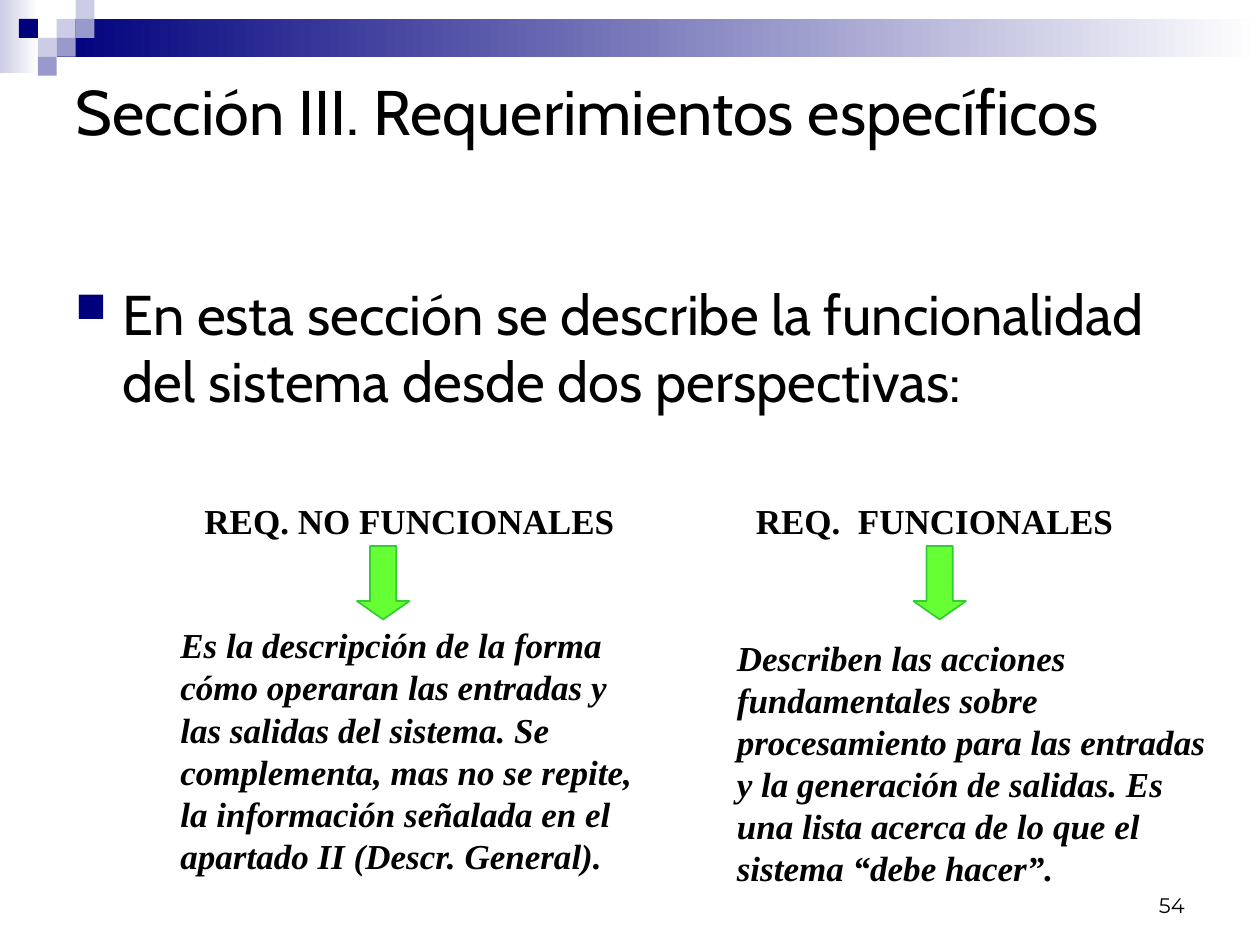
from lxml import etree
from pptx import Presentation
from pptx import util as u
from pptx.dml.color import RGBColor
from pptx.enum import shapes, text
from pptx.oxml.ns import qn

Pt = u.Pt
rgb = RGBColor.from_string
SERIF = "Times New Roman"

prs = Presentation()
prs.slide_width, prs.slide_height = Pt(720), Pt(540)
s = prs.slides.add_slide(prs.slide_layouts[6])


def add_shape(kind, x, y, w, h, fill, fade=False):
    """Add a shape without outline; fade runs the fill to white at the right."""
    sp = s.shapes.add_shape(kind, Pt(x), Pt(y), Pt(w), Pt(h))
    sp.shadow.inherit = False
    sp.line.fill.background()
    if fade:
        sp.fill.gradient()
        sp.fill.gradient_angle = 0
        for stop, color in zip(sp.fill.gradient_stops, (fill, "FFFFFF")):
            stop.color.rgb = rgb(color)
    else:
        sp.fill.solid()
        sp.fill.fore_color.rgb = rgb(fill)
    return sp


def add_text(x, y, w, h, words, size, font, align=text.PP_ALIGN.LEFT,
             bold=False, italic=False):
    tf = s.shapes.add_textbox(Pt(x), Pt(y), Pt(w), Pt(h)).text_frame
    tf.word_wrap = True
    p = tf.paragraphs[0]
    p.alignment = align
    r = p.add_run()
    r.text = words
    r.font.size, r.font.name = Pt(size), font
    r.font.bold, r.font.italic = bold, italic
    r.font.color.rgb = rgb("000000")
    return tf


# Header band and its mosaic of small squares
RECT = shapes.MSO_SHAPE.RECTANGLE
NAVY, MID, PALE = "00007D", "9999CC", "CCCCE6"
add_shape(RECT, 0, 0, 22, 42, PALE, fade=True)
add_shape(RECT, 32.4, 10.8, 687.6, 21.6, NAVY, fade=True)
side = 10.8
for col, row, color in [(3, 1, PALE), (4, 0, PALE), (4, 1, MID), (2, 2, PALE),
                        (1, 1, NAVY), (3, 2, MID), (2, 3, MID)]:
    add_shape(RECT, col * side, row * side, side, side, color)

# Title and main bullet
tf = add_text(36, 36, 648, 108, "Sección III. Requerimientos específicos", 36, "Cabin")
tf.margin_top = Pt(5.4)

tf = add_text(36, 156, 648, 306,
              "En esta sección se describe la funcionalidad del sistema "
              "desde dos perspectivas:", 32, "Cabin")
p = tf.paragraphs[0]
p.space_before = Pt(8)
pPr = p._p.get_or_add_pPr()
pPr.set("marL", str(Pt(27)))
pPr.set("indent", str(Pt(-27)))
buClr = etree.SubElement(pPr, qn("a:buClr"))
etree.SubElement(buClr, qn("a:srgbClr"), val=NAVY)
etree.SubElement(pPr, qn("a:buSzPct"), val="75000")
etree.SubElement(pPr, qn("a:buChar"), char="■")

# Two perspectives: heading, arrow, description
columns = [
    (102, 96, 353, "REQ. NO FUNCIONALES",
     "Es la descripción de la forma cómo operaran las entradas y las salidas "
     "del sistema. Se complementa, mas no se repite, la información señalada "
     "en el apartado II (Descr. General)."),
    (402, 414, 360, "REQ.  FUNCIONALES",
     "Describen las acciones fundamentales sobre procesamiento para las "
     "entradas y la generación de salidas. Es una lista acerca de lo que el "
     "sistema “debe hacer”."),
]
for head_x, body_x, body_y, heading, body in columns:
    add_text(head_x, 282, 264, 32, heading, 20, SERIF, text.PP_ALIGN.CENTER, bold=True)
    arrow = add_shape(shapes.MSO_SHAPE.DOWN_ARROW, body_x + 108, 312, 30, 42, "66FF33")
    arrow.adjustments[0], arrow.adjustments[1] = 0.5, 0.35
    arrow.line.color.rgb = rgb("33CC33")
    arrow.line.width = Pt(1)
    add_text(body_x, body_y, 282, 151, body, 20, SERIF, bold=True, italic=True)

# Slide number
tf = add_text(516, 492, 168, 36, "54", 12, "Montserrat", text.PP_ALIGN.RIGHT)
tf.vertical_anchor = text.MSO_ANCHOR.BOTTOM

prs.save("out.pptx")
